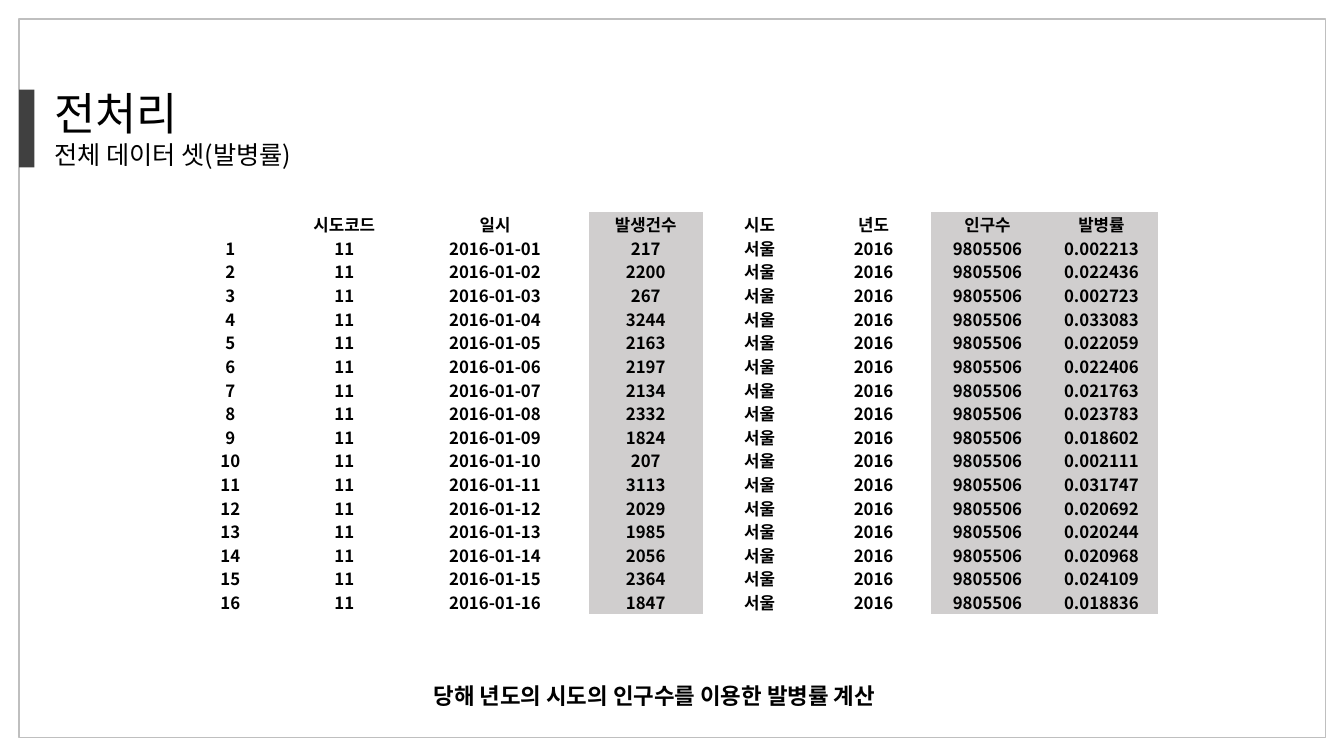
from lxml import etree
from pptx import Presentation
from pptx.dml.color import RGBColor
from pptx.enum import shapes, text
from pptx.oxml import ns
from pptx.util import Inches, Pt

FONT = "Noto Sans CJK KR"
BLACK = RGBColor(0x00, 0x00, 0x00)
DARK = RGBColor(0x40, 0x40, 0x40)
FRAME = RGBColor(0xBF, 0xBF, 0xBF)
SHADE = RGBColor(0xD0, 0xCE, 0xCE)
NO_STYLE = "{2D5ABB26-0587-4C30-8999-92F81FD0307C}"


def add_text(p, words, size, bold=False, align=None, outline=False):
    p.alignment = align
    r = p.add_run()
    r.text = words
    r.font.size = Pt(size)
    r.font.bold = bold
    r.font.name = FONT
    r.font.color.rgb = BLACK
    rpr = r.font._element
    rpr.find(ns.qn("a:latin")).addnext(
        etree.Element(ns.qn("a:ea"), typeface=FONT))
    if outline:
        ln = etree.Element(ns.qn("a:ln"), w=str(Pt(0.75)))
        fill = etree.SubElement(ln, ns.qn("a:solidFill"))
        color = etree.SubElement(fill, ns.qn("a:srgbClr"), val=str(BLACK))
        etree.SubElement(color, ns.qn("a:alpha"), val="50000")
        rpr.insert(0, ln)


prs = Presentation()
prs.slide_width, prs.slide_height = Inches(13.33), Inches(7.5)
s = prs.slides.add_slide(prs.slide_layouts[6])

# Page frame and title accent
frame = s.shapes.add_shape(shapes.MSO_SHAPE.RECTANGLE, Inches(0.19), Inches(0.19),
                           Inches(12.96), Inches(7.13))
frame.shadow.inherit = False
frame.fill.background()
frame.line.color.rgb = FRAME
frame.line.width = Pt(1)

accent = s.shapes.add_shape(shapes.MSO_SHAPE.RECTANGLE, Inches(0.19), Inches(0.89),
                            Inches(0.15), Inches(0.77))
accent.shadow.inherit = False
accent.fill.solid()
accent.fill.fore_color.rgb = DARK
accent.line.fill.background()

# Title and subtitle
tf = s.shapes.add_textbox(Inches(0.44), Inches(0.8), Inches(5.31), Inches(0.98)).text_frame
tf.word_wrap = True
add_text(tf.paragraphs[0], "전처리", 32, outline=True)
add_text(tf.add_paragraph(), "전체 데이터 셋(발병률)", 18, outline=True)

# Data: the rate is cases per hundred residents
POPULATION = 9805506
CASES = [217, 2200, 267, 3244, 2163, 2197, 2134, 2332,
         1824, 207, 3113, 2029, 1985, 2056, 2364, 1847]
rows = [["", "시도코드", "일시", "발생건수", "시도", "년도", "인구수", "발병률"]]
for day, cases in enumerate(CASES, 1):
    rows.append([str(day), "11", f"2016-01-{day:02}", str(cases), "서울", "2016",
                 str(POPULATION), f"{cases / POPULATION * 100:.6f}"])

# Table
table = s.shapes.add_table(len(rows), len(rows[0]), Inches(1.72), Inches(2.1),
                           Inches(9.78), Inches(3.99)).table
table.first_row = table.horz_banding = False
table._tbl.tblPr.find(ns.qn("a:tableStyleId")).text = NO_STYLE
for j, column in enumerate(table.columns):
    column.width = Inches(1.86 if j == 2 else 1.13)
for i, row in enumerate(table.rows):
    row.height = Inches(0.24 if i == 0 else (3.99 - 0.24) / len(CASES))
    for j, cell in enumerate(row.cells):
        cell.margin_left = cell.margin_right = cell.margin_top = cell.margin_bottom = 0
        cell.vertical_anchor = text.MSO_ANCHOR.MIDDLE
        if j in (3, 6, 7):
            cell.fill.solid()
            cell.fill.fore_color.rgb = SHADE
        else:
            cell.fill.background()
        p = cell.text_frame.paragraphs[0]
        if rows[i][j]:
            add_text(p, rows[i][j], 12, bold=True, align=text.PP_ALIGN.CENTER)
        else:
            etree.SubElement(p._p, ns.qn("a:endParaRPr"), sz="1200")

# Caption
tf = s.shapes.add_textbox(0, Inches(6.72), Inches(12.98), Inches(0.37)).text_frame
tf.word_wrap = True
add_text(tf.paragraphs[0], "당해 년도의 시도의 인구수를 이용한 발병률 계산", 16,
         bold=True, align=text.PP_ALIGN.CENTER)

prs.save("out.pptx")
